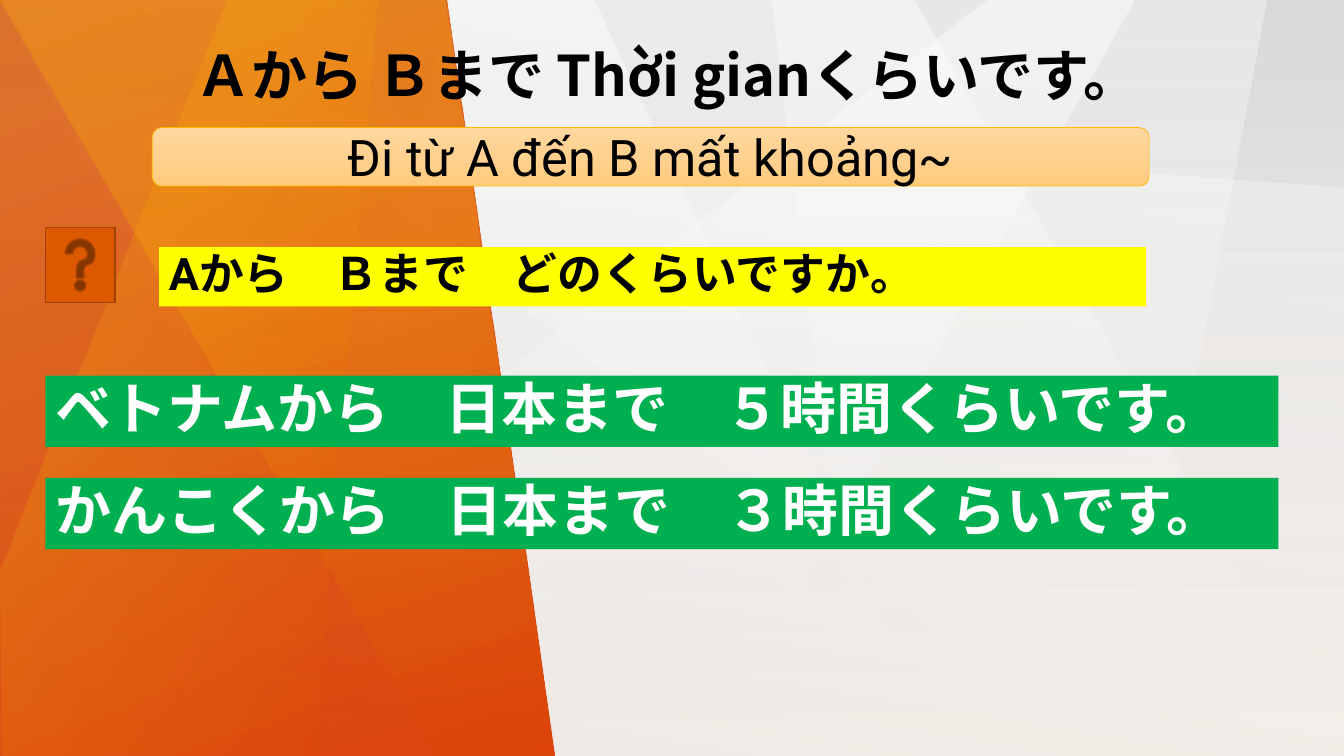
from lxml.etree import SubElement
from pptx import Presentation
from pptx.dml.color import RGBColor
from pptx.enum.shapes import MSO_SHAPE as Kind
from pptx.enum.text import MSO_ANCHOR as Anchor, MSO_AUTO_SIZE as Auto, PP_ALIGN as Align
from pptx.oxml.ns import qn
from pptx.util import Pt

BLACK = RGBColor(0x00, 0x00, 0x00)
WHITE = RGBColor(0xFF, 0xFF, 0xFF)
GRAY = RGBColor(0xBF, 0xBF, 0xBF)
SILVER = RGBColor(0xD9, 0xD9, 0xD9)
CREAM = RGBColor(0xFC, 0xF5, 0xEF)
ORANGE = RGBColor(0xDD, 0x59, 0x00)
RED = RGBColor(0xDC, 0x3C, 0x00)
BROWN = RGBColor(0xA3, 0x42, 0x00)
GOLD = RGBColor(0xFF, 0xB9, 0x00)
PEACH = (RGBColor(0xFF, 0xD7, 0x9E), RGBColor(0xFF, 0xD1, 0x90), RGBColor(0xFF, 0xCB, 0x7C))
YELLOW = RGBColor(0xFF, 0xFF, 0x00)
GREEN = RGBColor(0x00, 0xB0, 0x50)

LATIN, KANA = "Roboto", "Noto Sans CJK JP"
WIDE, HIGH = 960, 540

# Gradient stops: position %, colour, opacity %
HAZE = [(0, WHITE, 50), (100, WHITE, 0)]
MIST = [(0, WHITE, 40), (100, WHITE, 0)]
PAGE = [(0, SILVER, 50), (100, CREAM, 100)]
VEIL = [(0, GRAY, 25), (100, WHITE, 0)]
BANNER = [(0, PEACH[0], 100), (50, PEACH[1], 100), (100, PEACH[2], 100)]

# Facets: corners, stops, angle
PALE = [
    ([(704.9, 0), (0, 540.7), (504.7, 540.7), (810, 0)], HAZE, 90),
    ([(0, 0), (257.8, 0), (427.7, 540), (281.5, 540)], HAZE, 90),
    ([(95, 0), (653, 0), (960, 540), (779.8, 540)], HAZE, 90),
    ([(550.8, 0), (616.3, 540), (802.8, 540), (905, 0)], MIST, 90),
    ([(424.1, 0), (321.1, 0), (195.8, 540), (676.1, 540)], HAZE, 90),
    ([(0, 62.6), (960, 133.9), (960, 439.2), (0, 167)], MIST, 90),
]
WARM = [
    ([(0, 0), (319, 0), (396, 540), (0, 540)],
     [(0, ORANGE, 80), (100, RED, 95)], 70),
    ([(318.2, 0), (0, 0), (312.5, 540), (396, 540)],
     [(38, GOLD, 25), (100, RED, 24)], 80),
    ([(225.4, 540), (0.7, 540), (0, 406.8), (162, 0), (270, 0)],
     [(38, GOLD, 18), (100, RED, 17)], 30),
]

MEANING = [("Đi từ A đến B mất khoảng~", LATIN)]
TITLE = [("Ａから Ｂまで Thời gianくらいです。", KANA)]
# Bars: box, fill, size, text colour, runs
BARS = [
    ((113.6, 176.5, 705, 42.3), YELLOW, 32, BLACK,
     [("Aから　Ｂまで　どのくらいですか", LATIN), ("。", KANA)]),
    ((32.4, 268.4, 880.7, 50.9), GREEN, 40, WHITE,
     [("ベトナムから　日本まで　５時間くらいです。", KANA)]),
    ((32.4, 341.3, 880.7, 50.9), GREEN, 40, WHITE,
     [("かんこくから　日本まで　３時間くらいです。", KANA)]),
]


def shade(fill, host, stops, angle):
    """Swap the host element's solid fill for a gradient with opacity."""
    fill.solid()
    solid = host.find(qn("a:solidFill"))
    grad = solid.makeelement(qn("a:gradFill"), {"rotWithShape": "1"})
    host.replace(solid, grad)
    group = SubElement(grad, qn("a:gsLst"))
    for place, color, alpha in stops:
        stop = SubElement(group, qn("a:gs"), pos=str(place * 1000))
        rgb = SubElement(stop, qn("a:srgbClr"), val=str(color))
        if alpha < 100:
            SubElement(rgb, qn("a:alpha"), val=str(alpha * 1000))
    SubElement(grad, qn("a:lin"), ang=str(angle * 60000), scaled="0")


def tint(shape, stops, angle):
    shade(shape.fill, shape._element.spPr, stops, angle)


def plain(shape):
    shape.shadow.inherit = False
    shape.line.fill.background()
    return shape


def facet(slide, points, stops, angle):
    pen = slide.shapes.build_freeform(*points[0], scale=Pt(1))
    pen.add_line_segments(points[1:], close=True)
    tint(plain(pen.convert_to_shape()), stops, angle)


def block(slide, kind, box):
    return plain(slide.shapes.add_shape(kind, *map(Pt, box)))


def write(shape, runs, size, color, bold=True, align=Align.CENTER, anchor=Anchor.MIDDLE):
    frame = shape.text_frame
    frame.word_wrap = True
    frame.vertical_anchor = anchor
    para = frame.paragraphs[0]
    para.alignment = align
    for text, face in runs:
        run = para.add_run()
        run.text = text
        font = run.font
        font.name, font.size, font.bold = face, Pt(size), bold
        font.color.rgb = color
        SubElement(run._r.get_or_add_rPr(), qn("a:ea"), typeface=face)


def main():
    deck = Presentation()
    deck.slide_width, deck.slide_height = Pt(WIDE), Pt(HIGH)
    slide = deck.slides.add_slide(deck.slide_layouts[6])

    fill = slide.background.fill
    fill.solid()
    shade(fill, slide._element.find(".//" + qn("p:bgPr")), PAGE, 90)
    for part in PALE:
        facet(slide, *part)
    tint(block(slide, Kind.RECTANGLE, (0, 0, WIDE, HIGH)), VEIL, 280)
    for part in WARM:
        facet(slide, *part)

    banner = block(slide, Kind.ROUNDED_RECTANGLE, (108.7, 91.1, 712.1, 41.8))
    tint(banner, BANNER, 90)
    banner.line.color.rgb, banner.line.width = GOLD, Pt(0.5)
    write(banner, MEANING, 36, BLACK, bold=False)

    title = slide.shapes.add_textbox(*map(Pt, (68.4, 12.2, 817.2, 81.7)))
    write(title, TITLE, 40, BLACK)

    for box, color, size, ink, runs in BARS:
        bar = block(slide, Kind.RECTANGLE, box)
        bar.fill.solid()
        bar.fill.fore_color.rgb = color
        write(bar, runs, size, ink, align=Align.LEFT, anchor=Anchor.TOP)
        bar.text_frame.auto_size = Auto.SHAPE_TO_FIT_TEXT
        bar.text_frame.paragraphs[0].line_spacing = 0.9

    button = block(slide, Kind.ACTION_BUTTON_HELP, (32.4, 162.7, 49.7, 53.3))
    button.fill.solid()
    button.fill.fore_color.rgb = ORANGE
    button.line.color.rgb, button.line.width = BROWN, Pt(1)

    deck.save("out.pptx")


if __name__ == "__main__":
    main()
